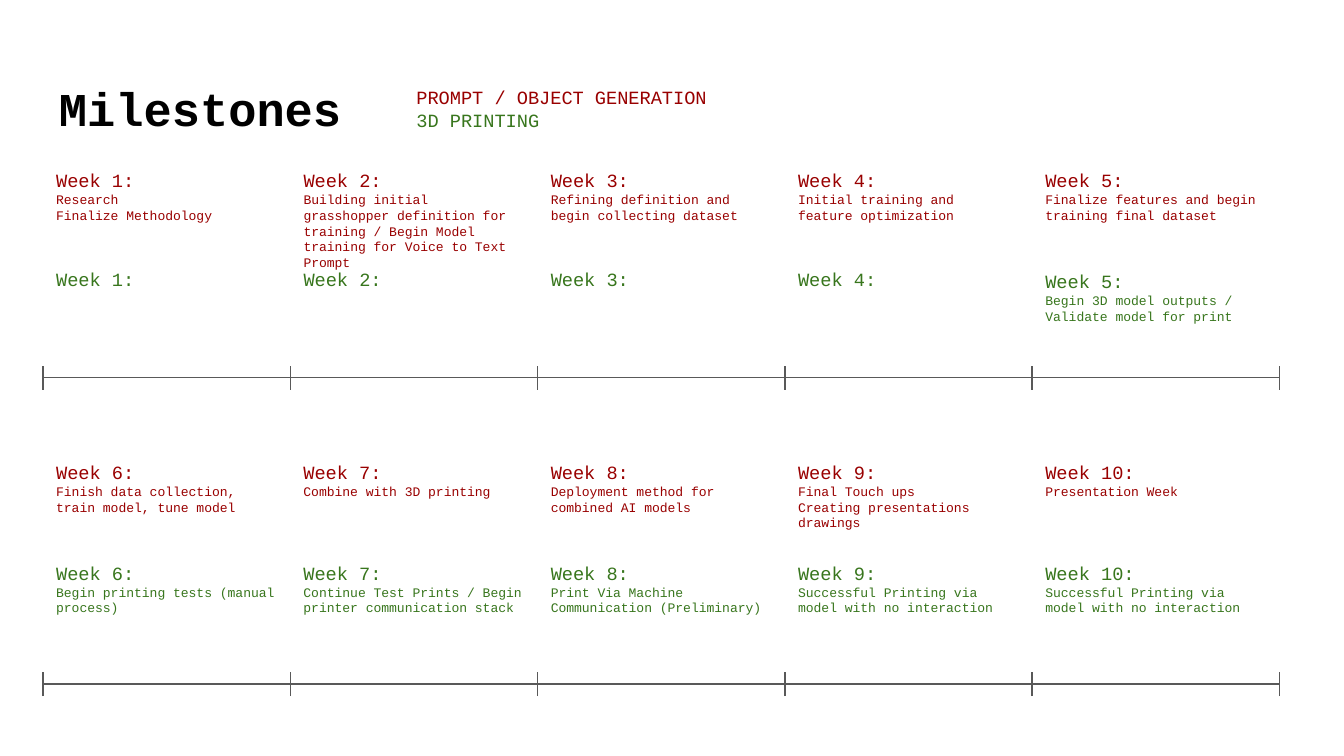
from lxml.etree import SubElement
from pptx import Presentation
from pptx.dml.color import RGBColor
from pptx.enum.shapes import MSO_CONNECTOR
from pptx.enum.text import MSO_ANCHOR
from pptx.oxml.ns import qn
from pptx.util import Inches, Pt

FONT = "Courier New"
RED, GREEN, GRAY, BLACK = "990000", "38761D", "595959", "000000"

# Timeline grid: five columns, one per week
COLUMNS = 5
LEFT, COLUMN = 0.32, 1.84
TASK_ROW = 0.75
TEXT_WIDTH = 1.83
TICK = 0.18

# Each week: title, prompt / object generation tasks, 3D printing tasks
FIRST_HALF = [
    ("Week 1:", ["Research", "Finalize Methodology"], []),
    ("Week 2:", ["Building initial grasshopper definition for training / "
                 "Begin Model training for Voice to Text Prompt"], []),
    ("Week 3:", ["Refining definition and begin collecting dataset"], []),
    ("Week 4:", ["Initial training and feature optimization"], []),
    ("Week 5:", ["Finalize features and begin training final dataset"],
     ["Begin 3D model outputs / Validate model for print"]),
]
SECOND_HALF = [
    ("Week 6:", ["Finish data collection, train model, tune model"],
     ["Begin printing tests (manual process)"]),
    ("Week 7:", ["Combine with 3D printing"],
     ["Continue Test Prints / Begin printer communication stack"]),
    ("Week 8:", ["Deployment method for combined AI models"],
     ["Print Via Machine Communication (Preliminary)"]),
    ("Week 9:", ["Final Touch ups", "Creating presentations drawings"],
     ["Successful Printing via model with no interaction"]),
    ("Week 10:", ["Presentation Week"],
     ["Successful Printing via model with no interaction"]),
]
# Weeks whose text wraps in a narrower box
NARROW = {"Week 2:": 1.72, "Week 4:": 1.77}


def color(value):
    return RGBColor.from_string(value)


def add_text(page, box, lines, anchor=MSO_ANCHOR.TOP):
    """Place lines of (text, size, colour, bold) in a box of inches."""
    frame = page.shapes.add_textbox(*map(Inches, box)).text_frame
    frame.word_wrap = True
    frame.vertical_anchor = anchor
    frame.margin_left = frame.margin_right = Inches(0.1)
    frame.margin_top = frame.margin_bottom = Inches(0.1)
    for index, (text, size, tint, bold) in enumerate(lines):
        para = frame.add_paragraph() if index else frame.paragraphs[0]
        para.text = text
        para.font.name = FONT
        para.font.size = Pt(size)
        para.font.bold = bold
        para.font.color.rgb = color(tint)


def add_line(page, x1, y1, x2, y2):
    line = page.shapes.add_connector(
        MSO_CONNECTOR.STRAIGHT, *map(Inches, (x1, y1, x2, y2)))
    line.line.color.rgb = color(GRAY)
    line.line.width = Pt(0.75)
    SubElement(line._element.spPr, qn("a:effectLst"))


def add_header(page, left, top, width, height):
    # Title and colour key
    add_text(page, (left, top, width, height),
             [("Milestones", 25.2, BLACK, True)], MSO_ANCHOR.MIDDLE)
    add_text(page, (3, top + 0.05, 2.58, 0.49),
             [("PROMPT / OBJECT GENERATION", 10, RED, False),
              ("3D PRINTING", 10, GREEN, False)])


def add_axis(page, left, y, width):
    # Time axis with a tick at each column edge
    add_line(page, left, y, left + width, y)
    for index in range(COLUMNS + 1):
        x = left + index * width / COLUMNS
        add_line(page, x, y + TICK / 2, x, y - TICK / 2)


def add_timeline(page, left, top, height, weeks):
    # Two rows of tasks above an axis at the bottom of the box
    for column, (week, *tracks) in enumerate(weeks):
        for row, (tasks, tint) in enumerate(zip(tracks, (RED, GREEN))):
            box = (left + column * COLUMN, top + row * TASK_ROW,
                   NARROW.get(week, TEXT_WIDTH), TASK_ROW)
            add_text(page, box, [(week, 10, tint, False)]
                     + [(task, 7, tint, False) for task in tasks])
    add_axis(page, left, top + height, COLUMNS * COLUMN)


def main():
    deck = Presentation()
    deck.slide_width = Inches(10)
    deck.slide_height = deck.slide_width * 9 // 16
    page = deck.slides.add_slide(deck.slide_layouts[6])
    add_header(page, 0.34, 0.49, 9.32, 0.63)
    add_timeline(page, LEFT, 1.16, 1.65, FIRST_HALF)
    add_timeline(page, LEFT, 3.33, 1.76, SECOND_HALF)
    deck.save("out.pptx")


if __name__ == "__main__":
    main()
